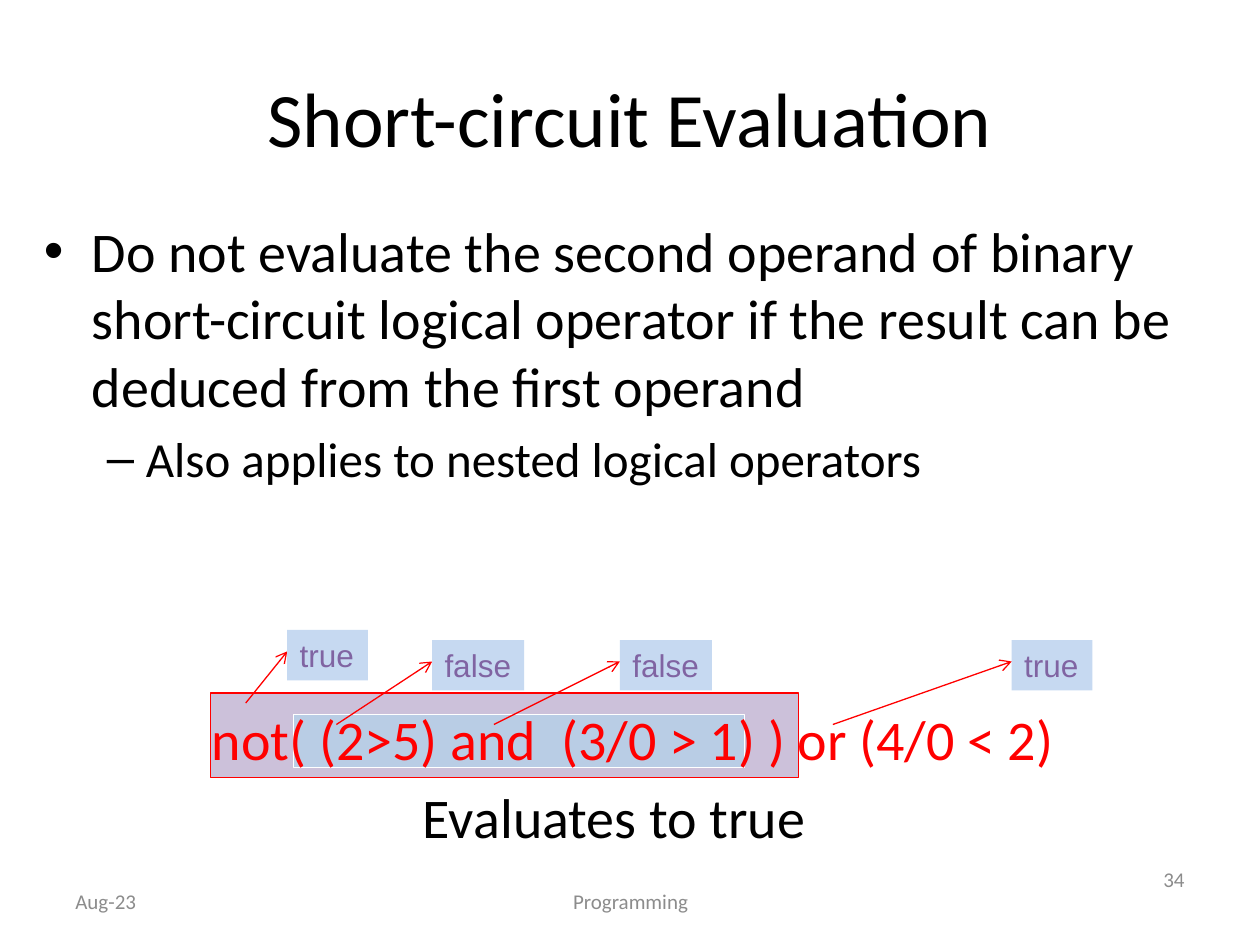
import pptx
import pptx.dml.color
import pptx.enum.shapes
import pptx.enum.text
import pptx.oxml
import pptx.oxml.ns
import pptx.util

Inches = pptx.util.Inches
Pt = pptx.util.Pt
RGBColor = pptx.dml.color.RGBColor
Align = pptx.enum.text.PP_ALIGN
Anchor = pptx.enum.text.MSO_ANCHOR

BLACK = RGBColor(0x00, 0x00, 0x00)
WHITE = RGBColor(0xFF, 0xFF, 0xFF)
RED = RGBColor(0xFF, 0x00, 0x00)
GRAY = RGBColor(0x8C, 0x8C, 0x8C)
LILAC = RGBColor(0xCC, 0xC1, 0xDA)
STEEL = RGBColor(0xB9, 0xCD, 0xE5)
PALE_BLUE = RGBColor(0xC6, 0xD9, 0xF1)
PURPLE = RGBColor(0x80, 0x64, 0xA2)


class SlideBuilder:
    body_font = "Calibri"
    label_font = "Arial"
    line_width = Pt(0.75)

    def __init__(self, slide):
        self.slide = slide

    def format_paragraph(self, paragraph, size, color, font=body_font, align=Align.LEFT):
        paragraph.alignment = align
        for run in paragraph.runs:
            run.font.name = font
            run.font.size = Pt(size)
            run.font.color.rgb = color

    def title(self, text, box):
        shape = self.slide.shapes.title
        shape.left, shape.top, shape.width, shape.height = map(Inches, box)
        shape.text_frame.text = text
        shape.text_frame.vertical_anchor = Anchor.MIDDLE
        self.format_paragraph(shape.text_frame.paragraphs[0], 44, BLACK, align=Align.CENTER)

    def text_box(self, box, lines, anchor=Anchor.TOP):
        """Each line is (text, size, color, align)."""
        frame = self.slide.shapes.add_textbox(*map(Inches, box)).text_frame
        frame.word_wrap = True
        frame.vertical_anchor = anchor
        frame.text = "\n".join(line[0] for line in lines)
        for index, (paragraph, line) in enumerate(zip(frame.paragraphs, lines)):
            text, size, color, align = line
            if index:
                paragraph.space_before = Pt(size * 0.2)
            self.format_paragraph(paragraph, size, color, align=align)
        return frame

    def indent(self, paragraph, left, hanging=0, bullet=None):
        properties = paragraph._p.get_or_add_pPr()
        properties.set("marL", str(Inches(left)))
        properties.set("indent", str(-Inches(hanging)))
        if bullet:
            namespace = pptx.oxml.ns.nsdecls("a")
            properties.append(pptx.oxml.parse_xml(f'<a:buFont {namespace} typeface="Arial"/>'))
            properties.append(pptx.oxml.parse_xml(f'<a:buChar {namespace} char="{bullet}"/>'))

    def rectangle(self, box, fill, line=None, shapes=None):
        shapes = shapes or self.slide.shapes
        shape = shapes.add_shape(pptx.enum.shapes.MSO_SHAPE.RECTANGLE, *map(Inches, box))
        shape.shadow.inherit = False
        shape.fill.solid()
        shape.fill.fore_color.rgb = fill
        if line is None:
            shape.line.fill.background()
        else:
            shape.line.color.rgb = line
            shape.line.width = self.line_width
        return shape

    def arrow(self, start, end, shapes):
        connector = shapes.add_connector(
            pptx.enum.shapes.MSO_CONNECTOR.STRAIGHT, *map(Inches, start + end))
        connector.line.color.rgb = RED
        connector.line.width = self.line_width
        namespace = pptx.oxml.ns.nsdecls("a")
        connector.line._get_or_add_ln().append(
            pptx.oxml.parse_xml(f'<a:tailEnd {namespace} type="arrow"/>'))
        connector._element.spPr.append(pptx.oxml.parse_xml(f"<a:effectLst {namespace}/>"))

    def value_label(self, text, start, end, width):
        """An arrow from an operator to its value, grouped with the value."""
        group = self.slide.shapes.add_group_shape()
        self.arrow(start, end, group.shapes)
        left, middle = end
        label = self.rectangle((left, middle - 0.17, width, 0.4), PALE_BLUE, shapes=group.shapes)
        frame = label.text_frame
        frame.word_wrap = False
        frame.auto_size = pptx.enum.text.MSO_AUTO_SIZE.SHAPE_TO_FIT_TEXT
        frame.vertical_anchor = Anchor.TOP
        frame.text = text
        self.format_paragraph(frame.paragraphs[0], 18, PURPLE, self.label_font)


def main():
    presentation = pptx.Presentation()
    presentation.slide_width = Inches(10)
    presentation.slide_height = Inches(7.5)
    builder = SlideBuilder(presentation.slides.add_slide(presentation.slide_layouts[5]))

    # Highlights behind the expression
    builder.rectangle((1.67, 5.5, 4.67, 0.67), LILAC, RED)
    builder.rectangle((2.33, 5.67, 3.58, 0.42), STEEL, WHITE)

    # Title and bullets
    builder.title("Short-circuit Evaluation", (0.5, 0.3, 9, 1.25))
    bullets = builder.text_box((0.25, 1.67, 9.25, 2.5), [
        ("Do not evaluate the second operand of binary short-circuit logical operator "
         "if the result can be deduced from the first operand", 32, BLACK, Align.LEFT),
        ("Also applies to nested logical operators", 28, BLACK, Align.LEFT),
    ])
    builder.indent(bullets.paragraphs[0], 0.38, 0.38, "•")
    bullets.paragraphs[1].level = 1
    builder.indent(bullets.paragraphs[1], 0.81, 0.31, "–")

    # Expression and its result
    expression = builder.text_box((0.25, 5.54, 9.25, 1.3), [
        ("not( (2>5) and  (3/0 > 1) ) or (4/0 < 2)", 32, RED, Align.CENTER),
        ("Evaluates to true", 32, BLACK, Align.CENTER),
    ])
    builder.indent(expression.paragraphs[0], 0.3)

    # Footer
    for text, box, align in (
        ("Aug-23", (0.5, 6.95, 2.33, 0.4), Align.LEFT),
        ("Programming", (3.42, 6.95, 3.17, 0.4), Align.CENTER),
        ("34", (7.17, 6.78, 2.33, 0.4), Align.RIGHT),
    ):
        builder.text_box(box, [(text, 12, GRAY, align)], Anchor.MIDDLE)

    # Values of the sub-expressions
    for text, start, end, width in (
        ("false", (2.67, 5.75), (3.43, 5.25), 0.73),
        ("false", (3.92, 5.75), (4.92, 5.25), 0.73),
        ("true", (1.95, 5.58), (2.28, 5.17), 0.64),
        ("true", (6.61, 5.75), (8.03, 5.25), 0.64),
    ):
        builder.value_label(text, start, end, width)

    presentation.save("out.pptx")


if __name__ == "__main__":
    main()
